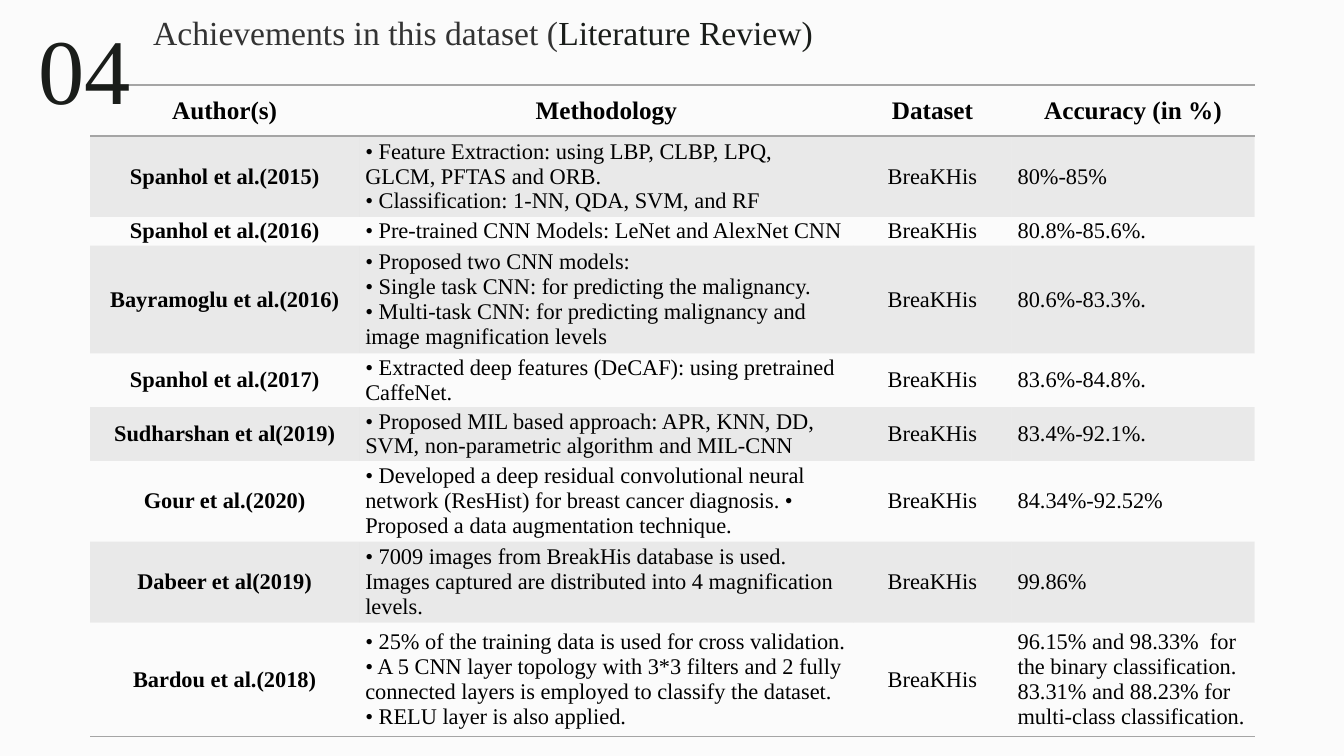
from lxml import etree
from pptx import Presentation
from pptx.dml.color import RGBColor
from pptx.enum.text import MSO_ANCHOR, MSO_AUTO_SIZE, PP_ALIGN
from pptx.oxml.ns import qn
from pptx.util import Inches, Pt

LEFT, CENTER, JUSTIFY = PP_ALIGN.LEFT, PP_ALIGN.CENTER, PP_ALIGN.JUSTIFY
TOP, MIDDLE = MSO_ANCHOR.TOP, MSO_ANCHOR.MIDDLE
FIT_SHAPE = MSO_AUTO_SIZE.SHAPE_TO_FIT_TEXT
TITLE_ONLY = 5
PLAIN_TABLE = "{2D5ABB26-0587-4C30-8999-92F81FD0307C}"

COLORS = {"paper": "FBFBFB", "heading": "333333", "ink": "1A1D1A",
          "table_text": "000000", "rule": "A5A5A5"}
FONT = "Times New Roman"
DATASET = "BreaKHis"

HEADERS = ["Author(s)", "Methodology", "Dataset", "Accuracy (in %)"]
# Author, methodology paragraphs, accuracy, row height in % of the slide
STUDIES = [
    ("Spanhol et al.(2015)",
     ["• Feature Extraction: using LBP, CLBP, LPQ, GLCM, PFTAS and ORB.",
      "• Classification: 1-NN, QDA, SVM, and RF"],
     "80%-85%", 10.7),
    ("Spanhol et al.(2016)",
     ["• Pre-trained CNN Models: LeNet and AlexNet CNN"],
     "80.8%-85.6%.", 3.8),
    ("Bayramoglu et al.(2016)",
     ["• Proposed two CNN models:",
      "• Single task CNN: for predicting the malignancy.",
      "• Multi-task CNN: for predicting malignancy and image magnification levels"],
     "80.6%-83.3%.", 14.25),
    ("Spanhol et al.(2017)",
     ["• Extracted deep features (DeCAF): using pretrained CaffeNet."],
     "83.6%-84.8%.", 7.1),
    ("Sudharshan et al(2019)",
     ["• Proposed MIL based approach: APR, KNN, DD, SVM, non-parametric "
      "algorithm and MIL-CNN"],
     "83.4%-92.1%.", 7.1),
    ("Gour et al.(2020)",
     ["• Developed a deep residual convolutional neural network (ResHist) for "
      "breast cancer diagnosis. • Proposed a data augmentation technique."],
     "84.34%-92.52%", 10.7),
    ("Dabeer et al(2019)",
     ["• 7009 images from BreakHis database is used. Images captured are "
      "distributed into 4 magnification levels."],
     "99.86%", 10.7),
    ("Bardou et al.(2018)",
     ["• 25% of the training data is used for cross validation.",
      "• A 5 CNN layer topology with 3*3 filters and 2 fully connected layers "
      "is employed to classify the dataset.",
      "• RELU layer is also applied."],
     "96.15% and 98.33%  for the binary classification. "
     "83.31% and 88.23% for multi-class classification.", 15.1),
]
HEADER_HEIGHT = 6.75
COLUMN_WIDTHS = [20.03, 36.76, 11.78, 18.08]


class ReviewSlide:
    """Holds the slide and its style; lengths are percentages of the slide."""

    def __init__(self, deck):
        self.deck = deck
        self.slide = deck.slides.add_slide(deck.slide_layouts[TITLE_ONLY])
        background = self.slide.background.fill
        background.solid()
        background.fore_color.rgb = RGBColor.from_string(COLORS["paper"])

    def across(self, share):
        return round(self.deck.slide_width * share / 100)

    def down(self, share):
        return round(self.deck.slide_height * share / 100)

    def box(self, left, top, width, height):
        return self.across(left), self.down(top), self.across(width), self.down(height)

    def add_runs(self, paragraph, runs, size, align, bold=False):
        paragraph.alignment = align
        for wording, color in runs:
            run = paragraph.add_run()
            run.text = wording
            run.font.name = FONT
            run.font.size = Pt(size)
            run.font.bold = bold
            run.font.color.rgb = RGBColor.from_string(COLORS[color])

    def title(self, runs, box):
        heading = self.slide.shapes.title
        heading.left, heading.top, heading.width, heading.height = self.box(*box)
        frame = heading.text_frame
        frame.word_wrap = True
        frame.auto_size = FIT_SHAPE
        frame.vertical_anchor = TOP
        self.add_runs(frame.paragraphs[0], runs, 24, LEFT)

    def section_number(self, number, box):
        frame = self.slide.shapes.add_textbox(*self.box(*box)).text_frame
        frame.word_wrap = True
        frame.auto_size = FIT_SHAPE
        self.add_runs(frame.paragraphs[0], [(number, "ink")], 66, JUSTIFY)

    def rule(self, cell, edge):
        """Draws a line on one edge of a cell, "T" or "B"; call before fill."""
        line = etree.SubElement(cell._tc.get_or_add_tcPr(), qn(f"a:ln{edge}"), w=str(Pt(1)))
        paint = etree.SubElement(line, qn("a:solidFill"))
        etree.SubElement(paint, qn("a:srgbClr"), val=COLORS["rule"])

    def shade(self, cell, shaded):
        if not shaded:
            cell.fill.background()
            return
        cell.fill.solid()
        cell.fill.fore_color.rgb = RGBColor.from_string(COLORS["rule"])
        color = cell._tc.tcPr.find(qn("a:solidFill")).find(qn("a:srgbClr"))
        etree.SubElement(color, qn("a:alpha"), val="20000")

    def cell(self, cell, paragraphs, size, align, bold):
        cell.vertical_anchor = MIDDLE
        cell.margin_left = cell.margin_right = Inches(0.06)
        cell.margin_top = cell.margin_bottom = 0
        frame = cell.text_frame
        for index, wording in enumerate(paragraphs):
            paragraph = frame.add_paragraph() if index else frame.paragraphs[0]
            self.add_runs(paragraph, [(wording, "table_text")], size, align, bold)

    def table(self, rows, heights, left, top):
        box = self.box(left, top, sum(COLUMN_WIDTHS), sum(heights))
        table = self.slide.shapes.add_table(len(rows), len(COLUMN_WIDTHS), *box).table
        table._tbl.tblPr.find(qn("a:tableStyleId")).text = PLAIN_TABLE
        table.horz_banding = False
        for column, width in zip(table.columns, COLUMN_WIDTHS):
            column.width = self.across(width)
        for r, (contents, height) in enumerate(zip(rows, heights)):
            table.rows[r].height = self.down(height)
            header = r == 0
            for c, paragraphs in enumerate(contents):
                cell = table.cell(r, c)
                if header:
                    self.rule(cell, "T")
                if header or r == len(rows) - 1:
                    self.rule(cell, "B")
                self.shade(cell, r % 2 == 1)
                align = CENTER if header or c in (0, 2) else LEFT
                self.cell(cell, paragraphs, 18 if header else 16, align, header or c == 0)


def main():
    deck = Presentation()
    deck.slide_width, deck.slide_height = Inches(13.33), Inches(7.5)
    review = ReviewSlide(deck)
    review.title([("Achievements in this dataset (", "heading"),
                  ("Literature Review)", "ink")], (10.65, 0.93, 55.9, 6.7))
    rows = [[[label] for label in HEADERS]]
    rows += [[[author], methods, [DATASET], [accuracy]]
             for author, methods, accuracy, _ in STUDIES]
    heights = [HEADER_HEIGHT] + [study[-1] for study in STUDIES]
    review.table(rows, heights, 6.7, 11.25)
    review.section_number("04", (2.1, 0.93, 8.55, 16.1))
    deck.save("out.pptx")


if __name__ == "__main__":
    main()
